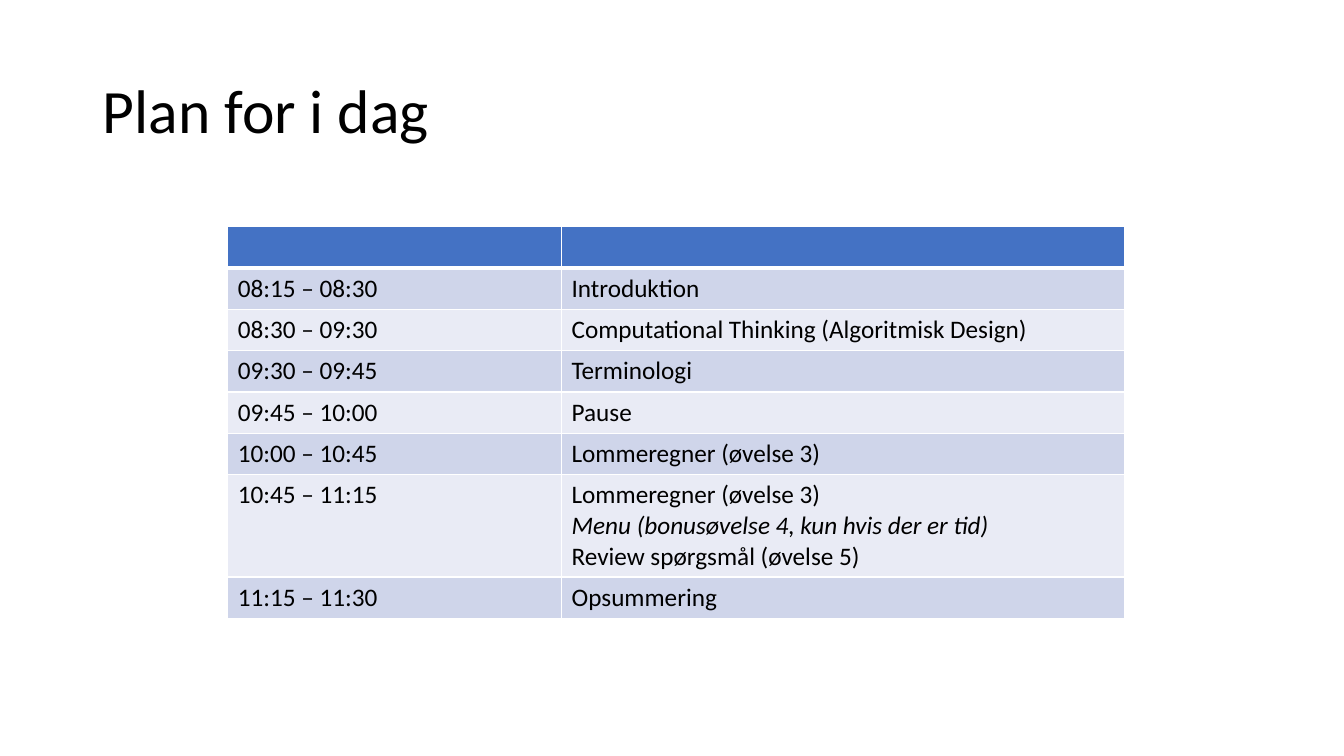
import pptx
import pptx.util
import pptx.dml.color
import pptx.enum.text
import pptx.oxml
import pptx.oxml.ns
from pptx.util import Inches


def color(value):
    return pptx.dml.color.RGBColor.from_string(value)


def add_text(paragraph, text, size, italic=False):
    run = paragraph.add_run()
    run.text = text
    run.font.name = "Calibri"
    run.font.size = pptx.util.Pt(size)
    run.font.italic = italic
    run.font.color.rgb = color("000000")


presentation = pptx.Presentation()
presentation.slide_width = Inches(13.33)
presentation.slide_height = Inches(7.5)
slide = presentation.slides.add_slide(presentation.slide_layouts[5])

title = slide.shapes.title
title.left, title.top = Inches(0.92), Inches(0.4)
title.width, title.height = Inches(11.5), Inches(1.45)
title.text_frame.word_wrap = True
title.text_frame.vertical_anchor = pptx.enum.text.MSO_ANCHOR.MIDDLE
title_paragraph = title.text_frame.paragraphs[0]
title_paragraph.alignment = pptx.enum.text.PP_ALIGN.LEFT
title_paragraph.line_spacing = 0.9
add_text(title_paragraph, "Plan for i dag", 44)

bonus = "Menu (bonusøvelse 4, kun hvis der er tid)"
schedule = [
    ("", [""]),
    ("08:15 – 08:30", ["Introduktion"]),
    ("08:30 – 09:30", ["Computational Thinking (Algoritmisk Design)"]),
    ("09:30 – 09:45", ["Terminologi"]),
    ("09:45 – 10:00", ["Pause"]),
    ("10:00 – 10:45", ["Lommeregner (øvelse 3)"]),
    ("10:45 – 11:15", ["Lommeregner (øvelse 3)", bonus, "Review spørgsmål (øvelse 5)"]),
    ("11:15 – 11:30", ["Opsummering"]),
]

table = slide.shapes.add_table(
    len(schedule), 2, Inches(2.26), Inches(2.25), Inches(8.89), Inches(3.85)
).table
table.columns[0].width = Inches(3.31)
table.columns[1].width = Inches(5.58)

for row_index, (time, activities) in enumerate(schedule):
    table.rows[row_index].height = Inches(0.41 + 0.3 * (len(activities) - 1))
    if row_index == 0:
        fill = "4472C4"
    else:
        fill = "CFD5EA" if row_index % 2 else "E9EBF5"

    for column_index, lines in enumerate([[time], activities]):
        cell = table.cell(row_index, column_index)
        cell.fill.solid()
        cell.fill.fore_color.rgb = color(fill)

        for line_index, line in enumerate(lines):
            text_frame = cell.text_frame
            paragraph = text_frame.add_paragraph() if line_index else text_frame.paragraphs[0]
            if line:
                add_text(paragraph, line, 18, line == bonus)

        properties = cell._tc.get_or_add_tcPr()
        for position, side in enumerate(["lnL", "lnR", "lnT", "lnB"]):
            below_header = (row_index, side) in [(0, "lnB"), (1, "lnT")]
            width = pptx.util.Pt(3 if below_header else 1)
            border = pptx.oxml.parse_xml(
                f'<a:{side} {pptx.oxml.ns.nsdecls("a")} w="{width}">'
                '<a:solidFill><a:srgbClr val="FFFFFF"/></a:solidFill>'
                f'</a:{side}>'
            )
            properties.insert(position, border)

presentation.save("out.pptx")
